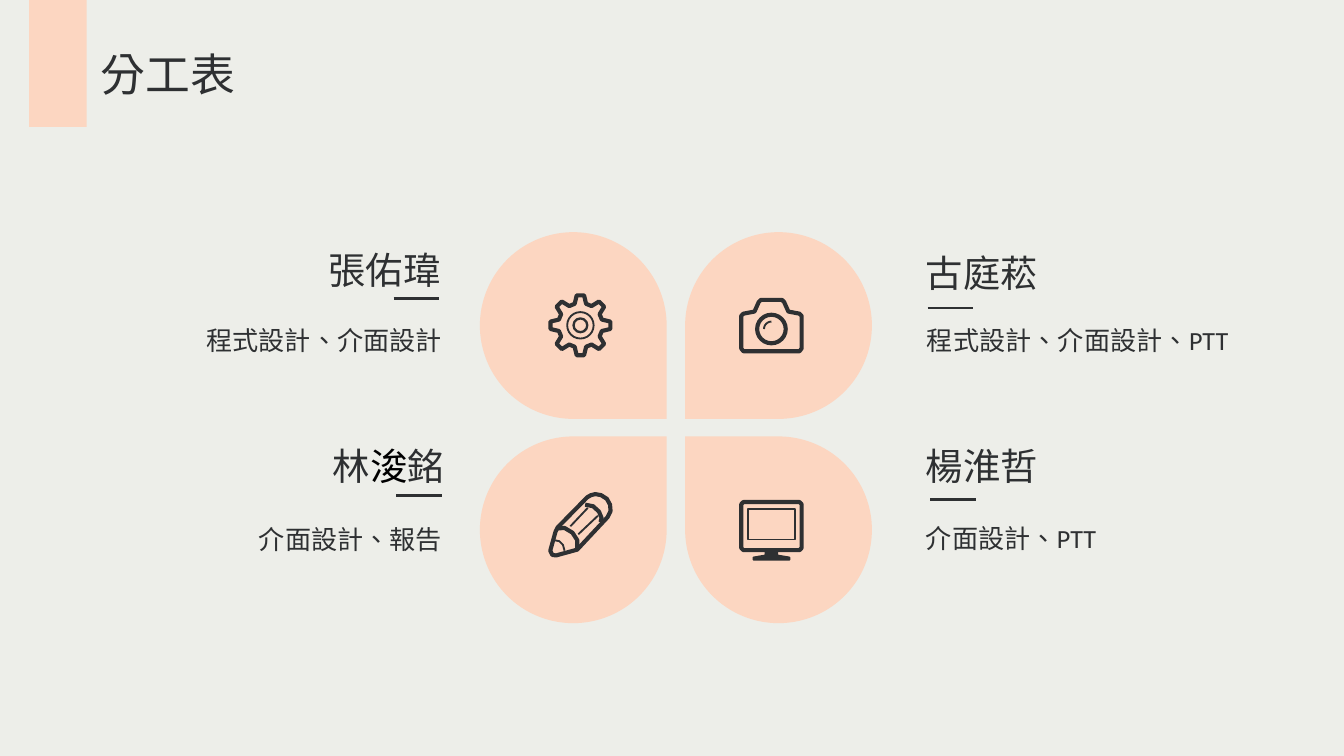
import math

import pptx
import pptx.util
import pptx.dml.color
import pptx.enum.shapes
import pptx.enum.text
import pptx.oxml
import pptx.oxml.ns

Cm, Pt = pptx.util.Cm, pptx.util.Pt
RGBColor = pptx.dml.color.RGBColor
SHAPE = pptx.enum.shapes.MSO_SHAPE
ALIGN = pptx.enum.text.PP_ALIGN

PAPER = RGBColor(0xED, 0xEE, 0xE9)
PEACH = RGBColor(0xFC, 0xD6, 0xC1)
INK = RGBColor(0x2E, 0x30, 0x32)
BLACK = RGBColor(0, 0, 0)
CJK, LATIN = "Noto Sans CJK SC", "Calibri"

TITLE = "分工表"
# name runs, name (x, y), duty, duty (x, y), rule (x, y), alignment
MEMBERS = [
    ([("張佑瑋", CJK, INK)], (5.94, 4.55),
     "程式設計、介面設計", (1.65, 5.72), (7.44, 5.64), ALIGN.RIGHT),
    ([("林", CJK, INK), ("浚", LATIN, BLACK), ("銘", CJK, INK)], (6.02, 8.26),
     "介面設計、報告", (1.65, 9.47), (7.49, 9.37), ALIGN.RIGHT),
    ([("楊淮哲", CJK, INK)], (17.25, 8.26),
     "介面設計、PTT", (17.25, 9.45), (17.58, 9.45), ALIGN.LEFT),
    ([("古庭菘", CJK, INK)], (17.25, 4.6),
     "程式設計、介面設計、PTT", (17.27, 5.72), (17.53, 5.82), ALIGN.LEFT),
]
PETAL_X, PETAL_Y, PETAL, STEP_X, STEP_Y = 9.07, 4.39, 3.53, 3.88, 3.86
RULE = 0.86


def polar(radius, degrees, dy=0.0):
    a = math.radians(degrees)
    return radius * math.cos(a), radius * math.sin(a) + dy


THICK, THIN = 2.2, 1
GEAR = [polar(r, 45 * tooth + turn) for tooth in range(8)
        for r, turn in ((0.42, -15), (0.57, -7), (0.57, 7), (0.42, 15))]
CAMERA = [(-.57, -.2), (-.53, -.24), (-.32, -.28), (-.24, -.46), (-.2, -.5),
          (.2, -.5), (.24, -.46), (.32, -.28), (.53, -.24), (.57, -.2),
          (.57, .42), (.53, .47), (-.53, .47), (-.57, .42)]
GLINT = [polar(0.14, a, 0.05) for a in range(180, 271, 15)]
MONITOR = [(-.53, -.52), (.53, -.52), (.57, -.48), (.57, .35),
           (.53, .39), (-.53, .39), (-.57, .35), (-.57, -.48)]
SCREEN = [(-.44, -.39), (.44, -.39), (.44, .19), (-.44, .19)]
STAND = [(-.11, .4), (.11, .4), (.11, .49), (.34, .53),
         (.34, .57), (-.34, .57), (-.34, .53), (-.11, .49)]
PENCIL = [(-.57, .5), (-.47, .14), (-.43, .06), (.13, -.51), (.2, -.55),
          (.28, -.57), (.39, -.55), (.5, -.48), (.56, -.37), (.57, -.25),
          (.51, -.13), (-.06, .48), (-.46, .59), (-.53, .58)]
COLLAR = [(-.43, .08), (-.3, .07), (-.15, .16), (-.06, .3), (-.06, .47)]
FERRULE = [(.09, -.37), (.24, -.34), (.35, -.24), (.4, -.12), (.38, -.04)]
LEAD = [(-.5, .3), (-.4, .32), (-.33, .39), (-.3, .5)]

# centre, outlines (points, closed, filled, width), rings (radius, dy, width)
ICONS = [
    ((14.58, 10.01), [(MONITOR, True, False, THICK), (SCREEN, True, False, THIN),
                      (STAND, True, True, THIN)], []),
    ((10.97, 9.91), [(PENCIL, True, False, THICK), (COLLAR, False, False, THICK),
                     (FERRULE, False, False, THICK), (LEAD, False, False, THIN),
                     ([(-.19, .04), (.14, -.31)], False, False, THIN),
                     ([(-.04, .19), (.33, -.16)], False, False, THIN)], []),
    ((14.58, 6.17), [(CAMERA, True, False, THICK), (GLINT, False, False, THIN)],
     [(0.27, 0.05, THICK)]),
    ((10.97, 6.15), [(GEAR, True, False, THICK)],
     [(0.25, 0, THIN), (0.13, 0, 1.25)]),
]


def add_block(shapes, kind, x, y, w, h):
    sp = shapes.add_shape(kind, Cm(x), Cm(y), Cm(w), Cm(h))
    sp.shadow.inherit = False
    sp.fill.solid()
    sp.fill.fore_color.rgb = PEACH
    sp.line.fill.background()
    return sp


def add_text(shapes, box, runs, size, align=ALIGN.LEFT, wrap=False, spacing=None):
    tf = shapes.add_textbox(*map(Cm, box)).text_frame
    tf.word_wrap = wrap
    tf.auto_size = pptx.enum.text.MSO_AUTO_SIZE.SHAPE_TO_FIT_TEXT
    p = tf.paragraphs[0]
    p.alignment = align
    p.line_spacing = spacing
    for text, font, color in runs:
        r = p.add_run()
        r.text = text
        r.font.size = Pt(size)
        r.font.color.rgb = color
        r.font.name = font
        rPr = r.font._element
        rPr.set("lang", "zh-TW")
        ea = pptx.oxml.parse_xml(f'<a:ea {pptx.oxml.ns.nsdecls("a")} typeface="{font}"/>')
        rPr.find(pptx.oxml.ns.qn("a:latin")).addnext(ea)


def ink_stroke(sp, width, filled=False):
    sp.shadow.inherit = False
    if filled:
        sp.fill.solid()
        sp.fill.fore_color.rgb = INK
    else:
        sp.fill.background()
    sp.line.color.rgb = INK
    sp.line.width = Pt(width)
    sp.line._get_or_add_ln().append(
        pptx.oxml.parse_xml(f'<a:round {pptx.oxml.ns.nsdecls("a")}/>'))


def add_icon(shapes, centre, outlines, rings):
    group = shapes.add_group_shape().shapes
    cx, cy = centre
    for points, closed, filled, width in outlines:
        spots = [(Cm(cx + x), Cm(cy + y)) for x, y in points]
        builder = group.build_freeform(*spots[0])
        builder.add_line_segments(spots[1:], close=closed)
        ink_stroke(builder.convert_to_shape(), width, filled)
    for radius, dy, width in rings:
        ring = group.add_shape(SHAPE.OVAL, Cm(cx - radius), Cm(cy + dy - radius),
                               Cm(2 * radius), Cm(2 * radius))
        ink_stroke(ring, width)


def add_rule(shapes, x, y):
    line = shapes.add_connector(pptx.enum.shapes.MSO_CONNECTOR.STRAIGHT,
                                Cm(x), Cm(y), Cm(x + RULE), Cm(y))
    line.line.color.rgb = INK
    line.line.width = Pt(1.5)
    line._element.spPr.append(
        pptx.oxml.parse_xml(f'<a:effectLst {pptx.oxml.ns.nsdecls("a")}/>'))


def main():
    prs = pptx.Presentation()
    prs.slide_width, prs.slide_height = Cm(25.4), Cm(14.29)
    s = prs.slides.add_slide(prs.slide_layouts[6])
    s.background.fill.solid()
    s.background.fill.fore_color.rgb = PAPER

    add_block(s.shapes, SHAPE.RECTANGLE, 0.55, 0, 1.09, 2.4)
    add_text(s.shapes, (1.65, 0.76, 3.07, 1.28), [(TITLE, CJK, INK)], 24)

    # Every petal points at the middle of the flower.
    for row in (1, 0):
        for col in (0, 1):
            petal = add_block(s.shapes, SHAPE.TEAR, PETAL_X + col * STEP_X,
                              PETAL_Y + row * STEP_Y, PETAL, PETAL)
            xfrm = petal._element.spPr.xfrm
            if col == 1:
                xfrm.set("flipH", "1")
            if row == 0:
                xfrm.set("flipV", "1")

    for name, name_at, duty, duty_at, rule_at, align in MEMBERS:
        add_text(s.shapes, (*duty_at, 6.96, 1.07), [(duty, LATIN, INK)], 14,
                 align, wrap=True, spacing=1.5)
        add_text(s.shapes, (*name_at, 2.64, 1.12), name, 20, align)
        add_rule(s.shapes, *rule_at)

    for icon in ICONS:
        add_icon(s.shapes, *icon)

    prs.save("out.pptx")


if __name__ == "__main__":
    main()
